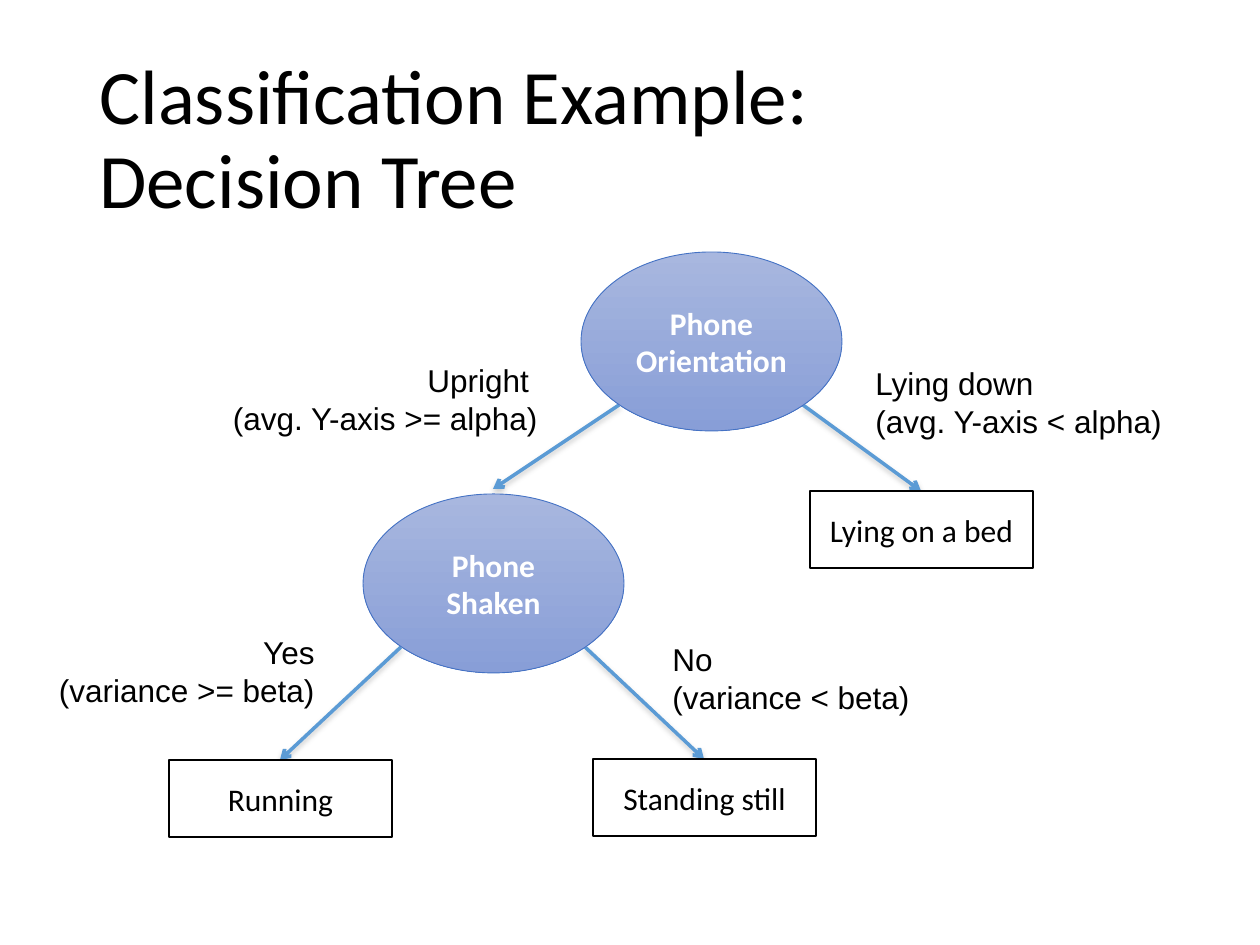
from dataclasses import dataclass
from math import sqrt

from lxml.etree import SubElement
from pptx import Presentation
from pptx.dml.color import RGBColor
from pptx.enum.shapes import MSO_CONNECTOR as Connector, MSO_SHAPE as Preset
from pptx.enum.text import MSO_ANCHOR as Anchor, PP_ALIGN as Align
from pptx.oxml.ns import qn
from pptx.util import Emu, Pt

EMU_PER_PX = 914400 / 126


@dataclass(frozen=True)
class Theme:
    black: str = "000000"
    white: str = "FFFFFF"
    arrow: str = "5B9BD5"
    shadow: str = "808080"
    node_line: str = "4472C4"
    node_top: str = "A8B7DF"
    node_bottom: str = "889ED7"
    heading_font: str = "Calibri"
    label_font: str = "Arial"
    title_size: int = 44
    body_size: int = 18


THEME = Theme()


@dataclass(frozen=True)
class Node:
    """A decision (ellipse) or an outcome (rectangle)."""
    text: str
    left: int
    top: int
    width: int
    height: int

    @property
    def center(self) -> int:
        return self.left + self.width // 2

    def lower_corner(self, side: int) -> tuple[int, int]:
        """Point on the ellipse at 45 degrees; side is -1 left, 1 right."""
        reach = sqrt(0.5) / 2
        return (round(self.center + side * self.width * reach),
                round(self.top + self.height * (0.5 + reach)))


@dataclass(frozen=True)
class Branch:
    parent: Node
    side: int
    child: Node
    gap: int = 0


@dataclass(frozen=True)
class Label:
    text: str
    left: int
    top: int
    width: int
    align: Align
    height: int = 89


def decision(text: str, left: int, top: int) -> Node:
    return Node(text, left, top, 261, 179)


def outcome(text: str, left: int, top: int) -> Node:
    return Node(text, left, top, 223, 77)


ORIENTATION = decision("Phone\vOrientation", 581, 252)
SHAKEN = decision("Phone\vShaken", 363, 494)
LYING = outcome("Lying on a bed", 810, 491)
STANDING = outcome("Standing still", 593, 759)
RUNNING = outcome("Running", 169, 760)

BRANCHES = [
    Branch(ORIENTATION, -1, SHAKEN, gap=5),
    Branch(ORIENTATION, 1, LYING),
    Branch(SHAKEN, 1, STANDING),
    Branch(SHAKEN, -1, RUNNING),
]
LABELS = [
    Label("Lying down\n(avg. Y-axis < alpha)", 863, 358, 357, Align.LEFT),
    Label("Upright \n(avg. Y-axis >= alpha)", 217, 355, 333, Align.RIGHT),
    Label("Yes\n(variance >= beta)", 43, 627, 284, Align.RIGHT),
    Label("No\n(variance < beta)", 660, 634, 265, Align.LEFT),
]


def px(value: int) -> Emu:
    return Emu(round(value * EMU_PER_PX))


def rgb(value: str) -> RGBColor:
    return RGBColor.from_string(value)


def write(frame, text: str, font: str, size: int, color: str,
          align: Align, bold: bool = False) -> None:
    frame.text = text
    for paragraph in frame.paragraphs:
        paragraph.alignment = align
        paragraph.font.name = font
        paragraph.font.size = Pt(size)
        paragraph.font.bold = bold
        paragraph.font.color.rgb = rgb(color)


def add_title(slide, text: str) -> None:
    frame = slide.shapes.add_textbox(px(87), px(50), px(1086), px(183)).text_frame
    frame.word_wrap = True
    frame.vertical_anchor = Anchor.MIDDLE
    write(frame, text, THEME.heading_font, THEME.title_size, THEME.black, Align.LEFT)
    frame.paragraphs[0].line_spacing = 0.9


def add_branch(slide, branch: Branch) -> None:
    start_x, start_y = branch.parent.lower_corner(branch.side)
    arrow = slide.shapes.add_connector(
        Connector.STRAIGHT, px(start_x), px(start_y),
        px(branch.child.center), px(branch.child.top - branch.gap))
    arrow.line.color.rgb = rgb(THEME.arrow)
    arrow.line.width = Pt(2)
    properties = arrow._element.spPr
    SubElement(properties.find(qn("a:ln")), qn("a:tailEnd"), type="arrow")
    # Soft shadow straight below the line
    effects = SubElement(properties, qn("a:effectLst"))
    shadow = SubElement(effects, qn("a:outerShdw"), blurRad=str(Pt(3.1)),
                        dist=str(Pt(1.6)), dir="5400000", rotWithShape="0")
    color = SubElement(shadow, qn("a:srgbClr"), val=THEME.shadow)
    SubElement(color, qn("a:alpha"), val="38000")


def add_label(slide, label: Label) -> None:
    frame = slide.shapes.add_textbox(px(label.left), px(label.top),
                                     px(label.width), px(label.height)).text_frame
    frame.word_wrap = False
    write(frame, label.text, THEME.label_font, THEME.body_size, THEME.black, label.align)


def add_node(slide, node: Node, preset: Preset, line: str, line_width: float,
             text_color: str, bold: bool):
    shape = slide.shapes.add_shape(preset, px(node.left), px(node.top),
                                   px(node.width), px(node.height))
    shape.shadow.inherit = False
    shape.line.color.rgb = rgb(line)
    shape.line.width = Pt(line_width)
    shape.text_frame.word_wrap = True
    shape.text_frame.vertical_anchor = Anchor.MIDDLE
    write(shape.text_frame, node.text, THEME.heading_font, THEME.body_size,
          text_color, Align.CENTER, bold)
    return shape


def add_outcome(slide, node: Node) -> None:
    shape = add_node(slide, node, Preset.RECTANGLE, THEME.black, 1, THEME.black, False)
    shape.fill.solid()
    shape.fill.fore_color.rgb = rgb(THEME.white)


def add_decision(slide, node: Node) -> None:
    shape = add_node(slide, node, Preset.OVAL, THEME.node_line, 0.5, THEME.white, True)
    shape.fill.gradient()
    shape.fill.gradient_angle = 270
    for stop, color in zip(shape.fill.gradient_stops, (THEME.node_top, THEME.node_bottom)):
        stop.color.rgb = rgb(color)


def main() -> None:
    presentation = Presentation()
    presentation.slide_width, presentation.slide_height = px(1260), px(945)
    slide = presentation.slides.add_slide(presentation.slide_layouts[6])

    add_title(slide, "Classification Example: \vDecision Tree")
    # The tree: arrows lie behind the nodes
    for branch in BRANCHES:
        add_branch(slide, branch)
    for label in LABELS:
        add_label(slide, label)
    for node in (LYING, STANDING, RUNNING):
        add_outcome(slide, node)
    for node in (ORIENTATION, SHAKEN):
        add_decision(slide, node)

    presentation.save("out.pptx")


if __name__ == "__main__":
    main()
